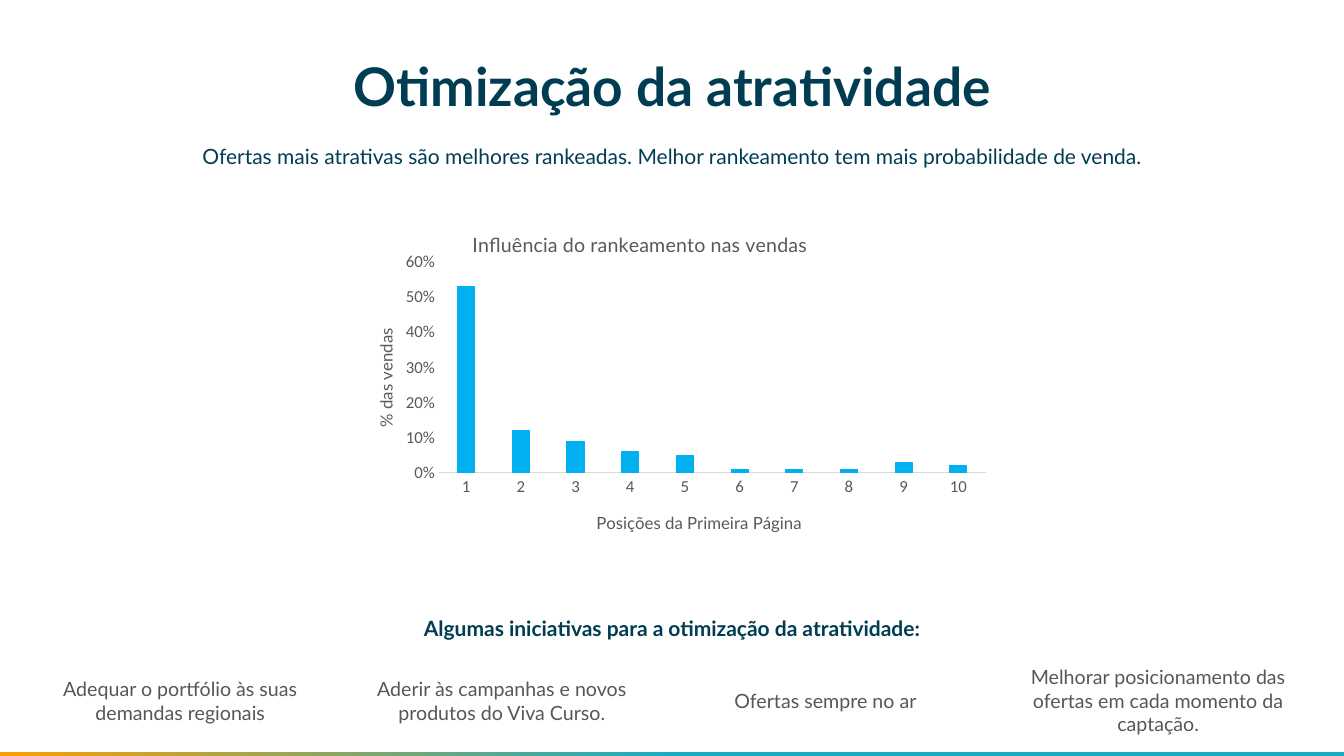
from lxml import etree
from pptx import Presentation
from pptx import util as u
from pptx.chart.data import CategoryChartData
from pptx.dml.color import RGBColor
from pptx.enum import chart as charts, shapes, text
from pptx.oxml.ns import qn

NAVY, GREY, TEAL, ORANGE, BLUE, PALE = "003D52", "575757", "18ACC4", "FC9F00", "00B0F0", "D9D9D9"
CHART_GREY = "595959"
SALES = [0.53, 0.12, 0.09, 0.06, 0.05, 0.01, 0.01, 0.01, 0.03, 0.02]
INITIATIVES = [
    ("Adequar o portfólio às suas demandas regionais", (26.6, 480.2, 204.5, 41)),
    ("Aderir às campanhas e novos produtos do Viva Curso.", (255.6, 480.2, 205.9, 41)),
    ("Ofertas sempre no ar", (486.7, 488.9, 205.9, 24.5)),
    ("Melhorar posicionamento das ofertas em cada momento da captação.", (718.6, 471.6, 217.4, 58.3)),
]


def colour(value):
    return RGBColor.from_string(value)


def apply(target, values):
    for name, value in values.items():
        setattr(target, name, value)


class SlideBuilder:
    font_name = "Lato"

    def __init__(self, presentation):
        self.slide = presentation.slides.add_slide(presentation.slide_layouts[5])

    def style_font(self, font, size, hex_colour, bold=False, name=None):
        apply(font, {"name": name or self.font_name, "size": u.Pt(size), "bold": bold})
        font.color.rgb = colour(hex_colour)

    def place(self, shape, box):
        apply(shape, dict(zip(("left", "top", "width", "height"), map(u.Pt, box))))

    def fill_text(self, shape, words, size, hex_colour, bold=False, inset=None, spacing=1.0, grow=False):
        fit = text.MSO_AUTO_SIZE.SHAPE_TO_FIT_TEXT if grow else text.MSO_AUTO_SIZE.NONE
        frame = shape.text_frame
        apply(frame, {"text": words, "word_wrap": True, "auto_size": fit,
                      "vertical_anchor": text.MSO_ANCHOR.TOP})
        if inset is not None:
            sides = ("margin_left", "margin_top", "margin_right", "margin_bottom")
            apply(frame, dict.fromkeys(sides, u.Pt(inset)))
        paragraph = frame.paragraphs[0]
        apply(paragraph, {"alignment": text.PP_ALIGN.CENTER, "line_spacing": spacing})
        self.style_font(paragraph.runs[0].font, size, hex_colour, bold)

    def title(self, words, box):
        shape = self.slide.shapes.title
        self.place(shape, box)
        self.fill_text(shape, words, 38, NAVY, bold=True, inset=5)

    def label(self, words, box, size, hex_colour, **options):
        shape = self.slide.shapes.add_textbox(*map(u.Pt, box))
        self.fill_text(shape, words, size, hex_colour, **options)

    def gradient_bar(self, box, stops):
        shape = self.slide.shapes.add_shape(shapes.MSO_SHAPE.RECTANGLE, *map(u.Pt, box))
        shape.shadow.inherit = False
        shape.line.fill.background()
        shape.fill.gradient()
        shape.fill.gradient_angle = 0
        for stop, (position, hex_colour) in zip(shape.fill.gradient_stops, stops):
            stop.position = position
            stop.color.rgb = colour(hex_colour)

    def set_layout(self, element, index, **values):
        for old in element.findall(qn("c:layout")):
            element.remove(old)
        layout = etree.Element(qn("c:layout"))
        manual = etree.SubElement(layout, qn("c:manualLayout"))
        if "w" in values:
            etree.SubElement(manual, qn("c:layoutTarget"), val="inner")
        for axis in "xy":
            etree.SubElement(manual, qn(f"c:{axis}Mode"), val="edge")
        for name, value in values.items():
            etree.SubElement(manual, qn(f"c:{name}"), val=str(value))
        element.insert(index, layout)

    def chart_title(self, title, words, size, x, y):
        title.text_frame.text = words
        self.style_font(title.text_frame.paragraphs[0].runs[0].font, size, CHART_GREY)
        self.set_layout(title._element, 1, x=x, y=y)

    def column_chart(self, box, values):
        data = CategoryChartData(number_format="0%")
        data.categories = [str(number) for number in range(1, len(values) + 1)]
        data.add_series("Series 1", values)
        chart = self.slide.shapes.add_chart(
            charts.XL_CHART_TYPE.COLUMN_CLUSTERED, *map(u.Pt, box), data).chart
        self.style_font(chart.font, 10, "000000", name="Calibri")
        chart.has_legend = False
        self.chart_title(chart.chart_title, "Influência do rankeamento nas vendas", 14, 0.19, 0.08)
        self.set_layout(chart._chartSpace.chart.plotArea, 0, x=0.144, y=0.18, w=0.836, h=0.6)
        for axis, words, x, y in (
            (chart.category_axis, "Posições da Primeira Página", 0.38, 0.88),
            (chart.value_axis, "% das vendas", 0.04, 0.36),
        ):
            apply(axis, {"has_major_gridlines": False,
                         "major_tick_mark": charts.XL_TICK_MARK.NONE,
                         "minor_tick_mark": charts.XL_TICK_MARK.NONE})
            self.style_font(axis.tick_labels.font, 12, CHART_GREY, name="Calibri")
            self.chart_title(axis.axis_title, words, 12, x, y)
        category_line = chart.category_axis.format.line
        category_line.color.rgb = colour(PALE)
        category_line.width = u.Pt(0.75)
        apply(chart.value_axis, {"minimum_scale": 0, "maximum_scale": 0.6, "major_unit": 0.1})
        apply(chart.value_axis.tick_labels, {"number_format": "0%", "number_format_is_linked": False})
        chart.value_axis.format.line.fill.background()
        chart.value_axis.axis_title.text_frame._txBody.bodyPr.set("rot", "-5400000")
        plot = chart.plots[0]
        apply(plot, {"gap_width": 219, "overlap": -27, "vary_by_categories": False})
        series = plot.series[0]
        series.format.fill.solid()
        series.format.fill.fore_color.rgb = colour(BLUE)
        series.format.line.color.rgb = colour(BLUE)
        series.format.line.width = u.Pt(0.75)


def main():
    presentation = Presentation()
    apply(presentation, {"slide_width": u.Pt(960), "slide_height": u.Pt(540)})
    builder = SlideBuilder(presentation)
    builder.title("Otimização da atratividade", (31, 33.1, 898.6, 62.6))
    builder.gradient_bar((0, 537.1, 960, 2.9), [(0, ORANGE), (0.5, TEAL)])
    builder.column_chart((246.2, 141.8, 467.3, 251.3), SALES)
    for words, top, bold in (
        ("Ofertas mais atrativas são melhores rankeadas. "
         "Melhor rankeamento tem mais probabilidade de venda.", 95, False),
        ("Algumas iniciativas para a otimização da atratividade:", 432, True),
    ):
        builder.label(words, (28.1, top, 904.3, 36), 15, NAVY, bold=bold, inset=5, spacing=1.15)
    for words, box in INITIATIVES:
        builder.label(words, box, 14, GREY, grow=True)
    presentation.save("out.pptx")


if __name__ == "__main__":
    main()
